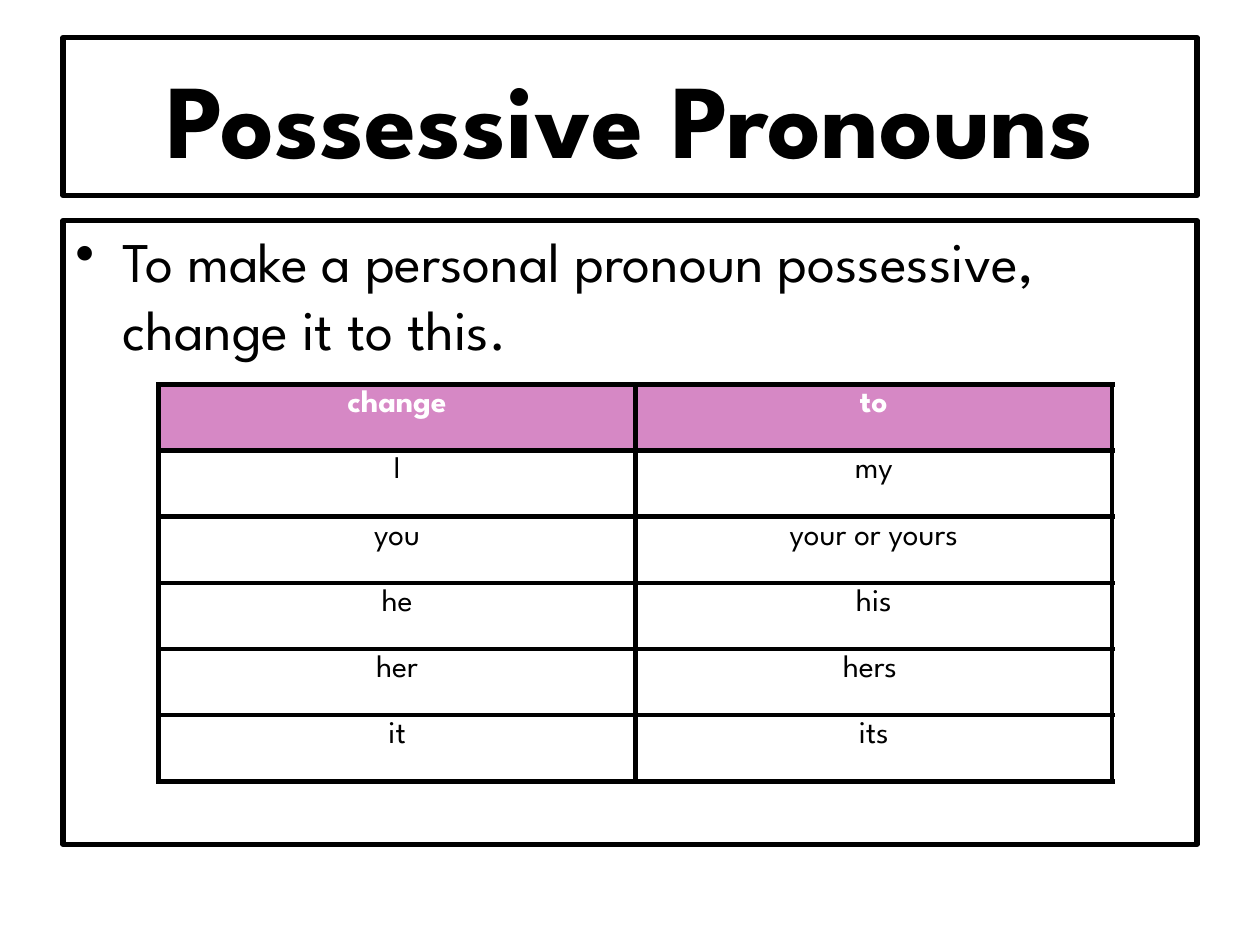
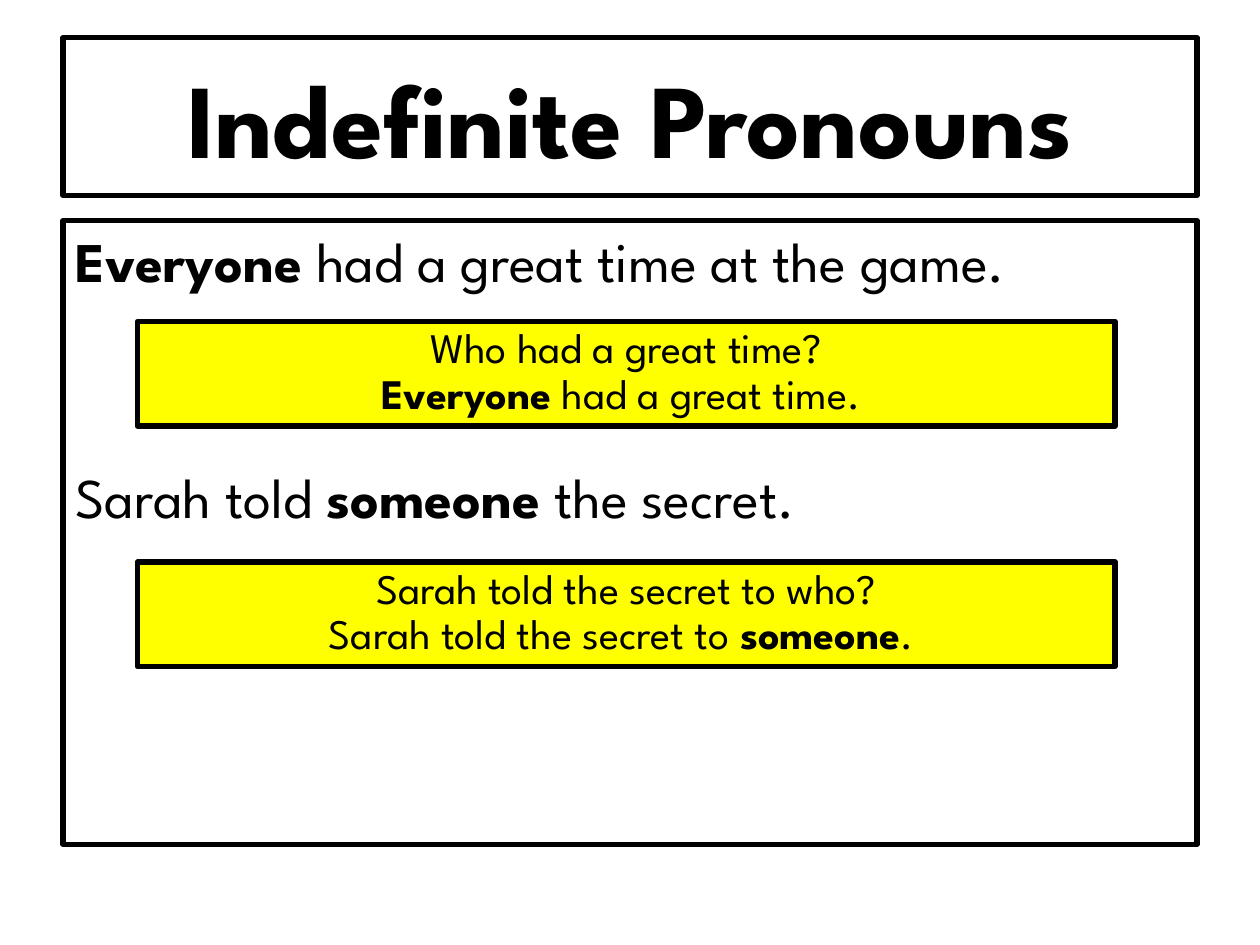
from dataclasses import dataclass
from typing import Any

from lxml import etree
from pptx import Presentation
from pptx import util as u
from pptx.dml import color
from pptx.enum import shapes, text
from pptx.oxml import ns


@dataclass(frozen=True)
class Theme:
    font: str = "League Spartan"
    ink: str = "000000"
    paper: str = "FFFFFF"
    header: str = "D688C5"
    highlight: str = "FFFF00"
    title_size: int = 60
    body_size: int = 32
    callout_size: int = 24
    table_size: int = 18
    line_width: int = 3


@dataclass(frozen=True)
class Area:
    left: float
    top: float
    width: float
    height: float

    def lengths(self) -> tuple[u.Length, ...]:
        return tuple(u.Cm(value) for value in (self.left, self.top, self.width, self.height))


@dataclass(frozen=True)
class Run:
    text: str
    bold: bool = False


@dataclass(frozen=True)
class Line:
    runs: tuple[Run, ...]
    space_before: float = 0
    spacing: float = 1.0
    centered: bool = False
    bulleted: bool = False


@dataclass(frozen=True)
class Panel:
    area: Area
    lines: tuple[Line, ...]
    size: int
    fill: str
    anchor: Any = text.MSO_ANCHOR.TOP


THEME = Theme()
TITLE_AREA = Area(1.27, 0.76, 22.86, 3.18)
BODY_AREA = Area(1.27, 4.45, 22.86, 12.57)
TABLE_AREA = Area(3.2, 7.75, 19.22, 8)
CALLOUT_TOPS = (6.48, 11.33)
BULLET_INDENT = u.Cm(0.95)
PRONOUNS = (
    ("change", "to"),
    ("I", "my"),
    ("you", "your or yours"),
    ("he", "his"),
    ("her", "hers "),
    ("it", "its"),
)
SENTENCES = (
    Line((Run("Everyone", True), Run(" had a great time at the game."))),
    Line((Run("Sarah told "), Run("someone", True), Run(" the secret.")), space_before=96),
)
CALLOUTS = (
    (
        (Run("Who had a great time?"),),
        (Run("Everyone", True), Run(" had a great time. ")),
    ),
    (
        (Run("Sarah told the secret to who?"),),
        (Run("Sarah told the secret to "), Run("someone", True), Run(". ")),
    ),
)


def apply_format(target: Any, values: dict[str, Any]) -> None:
    for name, value in values.items():
        setattr(target, name, value)


def paint(fill: Any, rgb: str) -> None:
    fill.solid()
    fill.fore_color.rgb = color.RGBColor.from_string(rgb)


def add_bullet(paragraph: Any) -> None:
    properties = paragraph._p.get_or_add_pPr()
    properties.set("marL", str(BULLET_INDENT))
    properties.set("indent", str(-BULLET_INDENT))
    etree.SubElement(properties, ns.qn("a:buChar"), char="•")


def write_lines(frame: Any, lines: tuple[Line, ...], size: int, ink: str) -> None:
    for index, line in enumerate(lines):
        paragraph = frame.add_paragraph() if index else frame.paragraphs[0]
        apply_format(paragraph, {
            "alignment": text.PP_ALIGN.CENTER if line.centered else text.PP_ALIGN.LEFT,
            "line_spacing": line.spacing,
            "space_before": u.Pt(line.space_before),
        })
        if line.bulleted:
            add_bullet(paragraph)
        for part in line.runs:
            run = paragraph.add_run()
            run.text = part.text
            apply_format(run.font, {"name": THEME.font, "size": u.Pt(size), "bold": part.bold})
            run.font.color.rgb = color.RGBColor.from_string(ink)


def draw_panel(slide: Any, panel: Panel) -> None:
    shape = slide.shapes.add_shape(shapes.MSO_SHAPE.RECTANGLE, *panel.area.lengths())
    shape.shadow.inherit = False
    paint(shape.fill, panel.fill)
    paint(shape.line.fill, THEME.ink)
    shape.line.width = u.Pt(THEME.line_width)
    apply_format(shape.text_frame, {"word_wrap": True, "vertical_anchor": panel.anchor})
    write_lines(shape.text_frame, panel.lines, panel.size, THEME.ink)


def add_borders(cell: Any) -> None:
    properties = cell._tc.get_or_add_tcPr()
    for side in ("L", "R", "T", "B"):
        border = etree.SubElement(
            properties, ns.qn(f"a:ln{side}"), w=str(u.Pt(THEME.line_width))
        )
        fill = etree.SubElement(border, ns.qn("a:solidFill"))
        etree.SubElement(fill, ns.qn("a:srgbClr"), val=THEME.ink)


def draw_table(slide: Any, rows: tuple[tuple[str, ...], ...], area: Area) -> None:
    table = slide.shapes.add_table(len(rows), len(rows[0]), *area.lengths()).table
    for row_index, row in enumerate(rows):
        is_header = row_index == 0
        for column_index, label in enumerate(row):
            cell = table.cell(row_index, column_index)
            add_borders(cell)
            paint(cell.fill, THEME.header if is_header else THEME.paper)
            line = Line((Run(label, is_header),), centered=True)
            write_lines(
                cell.text_frame, (line,), THEME.table_size,
                THEME.paper if is_header else THEME.ink,
            )


def add_lesson(presentation: Any, title: str, lines: tuple[Line, ...]) -> Any:
    slide = presentation.slides.add_slide(presentation.slide_layouts[6])
    heading = Line((Run(title, True),), centered=True)
    draw_panel(slide, Panel(
        TITLE_AREA, (heading,), THEME.title_size, THEME.paper, text.MSO_ANCHOR.MIDDLE
    ))
    draw_panel(slide, Panel(BODY_AREA, lines, THEME.body_size, THEME.paper))
    return slide


def main() -> None:
    presentation = Presentation()
    apply_format(presentation, {"slide_width": u.Cm(25.4), "slide_height": u.Cm(19.05)})

    instruction = Run("To make a personal pronoun possessive, change it to this.")
    possessive = add_lesson(
        presentation, "Possessive Pronouns", (Line((instruction,), bulleted=True),)
    )
    draw_table(possessive, PRONOUNS, TABLE_AREA)

    indefinite = add_lesson(presentation, "Indefinite Pronouns", SENTENCES)
    for top, callout in zip(CALLOUT_TOPS, CALLOUTS):
        lines = tuple(Line(runs, spacing=0.9, centered=True) for runs in callout)
        area = Area(2.77, top, 19.71, 2.11)
        draw_panel(indefinite, Panel(area, lines, THEME.callout_size, THEME.highlight))

    presentation.save("out.pptx")


if __name__ == "__main__":
    main()
